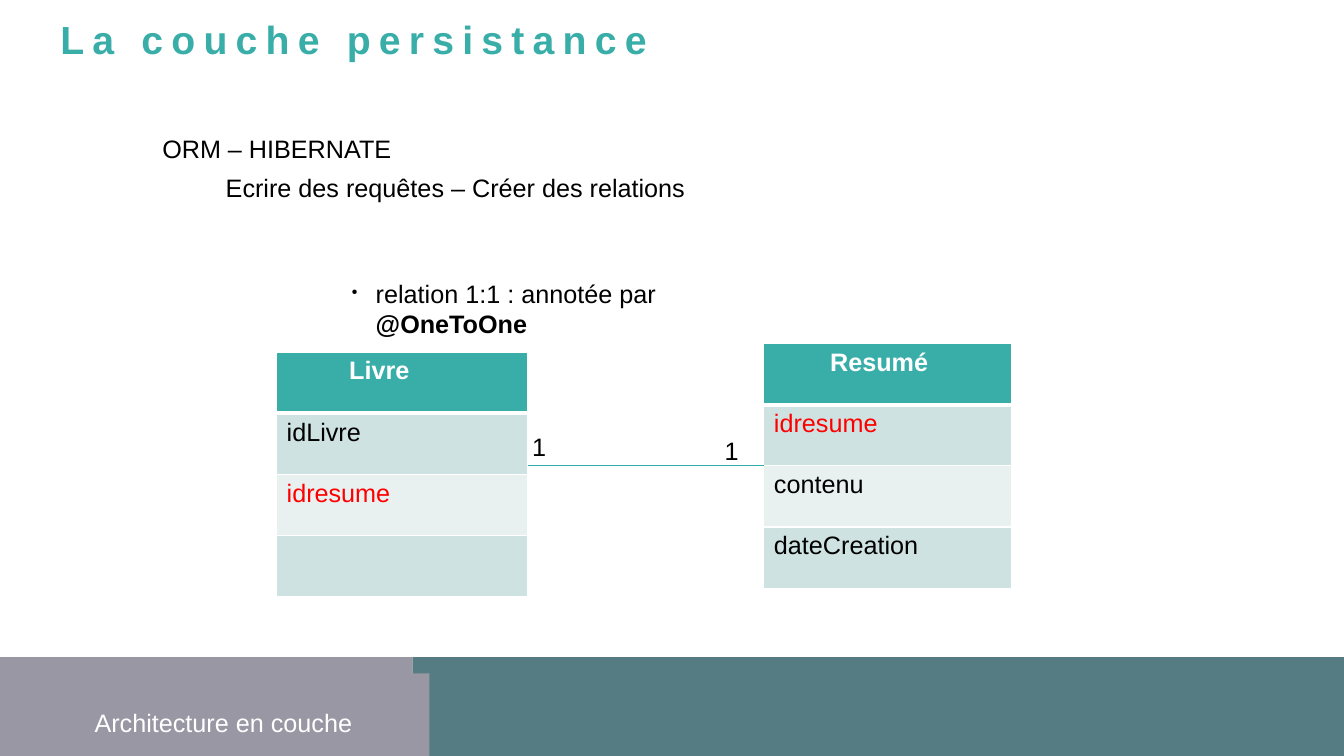
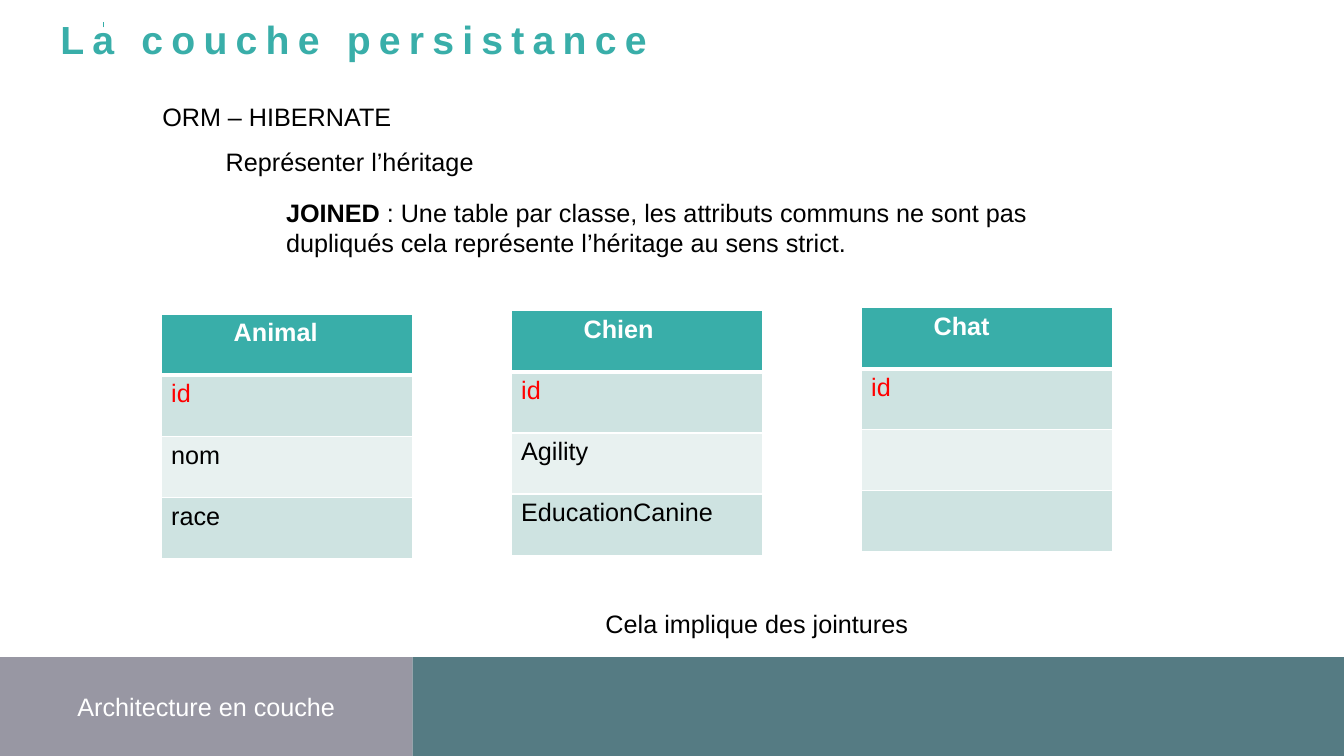
import pptx
import pptx.util
import pptx.dml.color
import pptx.enum.shapes
import pptx.enum.text
import pptx.oxml
import pptx.oxml.ns
from lxml import etree

Cm = pptx.util.Cm
Pt = pptx.util.Pt
WIDE, HIGH = 33.87, 19.05
SPLIT, BAND = 10.4, 2.49
CELL, ROW = 6.33, 1.54
COLORS = {
    "teal": "39AEA9", "line": "34ADA8", "grey": "9897A3", "slate": "557B83",
    "odd": "CEE3E1", "even": "E8F1F0", "red": "FF0000", "black": "000000",
    "white": "FFFFFF",
}


def shade(name):
    return pptx.dml.color.RGBColor.from_string(COLORS[name])


def paint(fill, name):
    fill.solid()
    fill.fore_color.rgb = shade(name)


def style(run, color="black", bold=False, size=18):
    font = run.font
    font.name = "Arial"
    font.size = Pt(size)
    font.bold = bold
    paint(font.fill, color)


def element(parent, tag, **attrs):
    return etree.SubElement(parent, pptx.oxml.ns.qn(tag), attrs)


def label(slide, box, parts, wrap=True, inset=True):
    shape = slide.shapes.add_textbox(*map(Cm, box))
    frame = shape.text_frame
    frame.word_wrap = wrap
    if not inset:
        frame.margin_left = frame.margin_right = 0
        frame.margin_top = frame.margin_bottom = 0
    para = frame.paragraphs[0]
    for text, bold in parts:
        run = para.add_run()
        run.text = text
        style(run, bold=bold)
    return para


def title(slide):
    box = (1.52, 0.69, 16.41, 0.89)
    para = label(slide, box, [("La couche persistance", True)], inset=False)
    para.line_spacing = Pt(25)
    run = para.runs[0]
    style(run, "teal", True, 28)
    run.font._element.set("spc", "590")


def heading(slide, left, top, topic, gap):
    label(slide, (left, top, 8, 1.02), [("ORM – HIBERNATE", False)])
    label(slide, (left + 1.6, top + gap, 19.15, 1.02), [(topic, False)])


def footer(slide, left, top, text=""):
    for start, width, color in ((0, SPLIT, "grey"), (SPLIT, WIDE - SPLIT, "slate")):
        band = slide.shapes.add_shape(
            pptx.enum.shapes.MSO_SHAPE.RECTANGLE,
            Cm(left + start), Cm(top), Cm(width), Cm(BAND))
        band.shadow.inherit = False
        paint(band.fill, color)
        band.line.fill.background()
        if text and start == 0:
            band.text_frame.text = text
            band.text_frame.vertical_anchor = pptx.enum.text.MSO_ANCHOR.MIDDLE
            para = band.text_frame.paragraphs[0]
            para.alignment = pptx.enum.text.PP_ALIGN.CENTER
            style(para.runs[0], "white")


def border(cell, row):
    props = cell._tc.get_or_add_tcPr()
    thick = {("a:lnB", 0), ("a:lnT", 1)}
    for tag in ("a:lnL", "a:lnR", "a:lnT", "a:lnB"):
        width = Pt(3) if (tag, row) in thick else Pt(0.96)
        line = element(props, tag, w=str(width))
        element(element(line, "a:solidFill"), "a:srgbClr", val=COLORS["white"])


def entity(slide, left, top, name, fields, key, indent=1.83, width=CELL):
    rows = [name, *fields]
    frame = slide.shapes.add_table(
        len(rows), 1, Cm(left), Cm(top), Cm(width), Cm(ROW * len(rows)))
    table = frame.table
    for row, text in enumerate(rows):
        table.rows[row].height = Cm(ROW)
        cell = table.cell(row, 0)
        border(cell, row)
        head = row == 0
        paint(cell.fill, "teal" if head else "odd" if row % 2 else "even")
        if head:
            cell.margin_left = Cm(indent)
        if text:
            cell.text_frame.text = text
            color = "white" if head else "red" if text == key else "black"
            style(cell.text_frame.paragraphs[0].runs[0], color, head)


def link(slide, *ends):
    line = slide.shapes.add_connector(
        pptx.enum.shapes.MSO_CONNECTOR.STRAIGHT, *map(Cm, ends))
    line.line.color.rgb = shade("line")
    line.line.width = Pt(0.75)
    element(line._element.spPr, "a:effectLst")


def bullet(para):
    props = para._p.get_or_add_pPr()
    props.set("marL", str(Cm(0.61)))
    props.set("indent", str(-Cm(0.61)))
    element(element(props, "a:buClr"), "a:srgbClr", val=COLORS["black"])
    element(props, "a:buSzPct", val="30000")
    element(props, "a:buChar", char="●")


def relation(slide):
    title(slide)
    heading(slide, 3.84, 3.23, "Ecrire des requêtes – Créer des relations", 0.99)
    bullet(label(slide, (8.61, 6.88, 11.5, 2.54), [
        ("relation 1:1 : annotée par ", False), ("@OneToOne", True)]))
    base = HIGH - BAND
    footer(slide, 0, base)
    footer(slide, 0.43, base + 0.41, "Architecture en couche")
    entity(slide, 6.97, 8.87, "Livre", ["idLivre", "idresume", ""], "idresume")
    entity(slide, 19.25, 8.66, "Resumé", ["idresume", "contenu", "dateCreation"],
           "idresume", 1.67, 6.24)
    link(slide, 13.31, 11.74, 19.25, 11.74)
    for left, top in ((13.41, 10.87), (18.26, 10.97)):
        label(slide, (left, top, 0.4, 0.76), [("1", False)], False, False)


def heritage(slide):
    footer(slide, 0, HIGH - BAND, "Architecture en couche")
    title(slide)
    heading(slide, 3.84, 2.44, "Représenter l’héritage", 1.11)
    link(slide, 2.62, 0.69, 2.62, 0.56)
    label(slide, (6.96, 4.85, 21.06, 2.54), [
        ("JOINED", True),
        (" : Une table par classe, les attributs communs ne sont pas dupliqués "
         "cela représente l’héritage au sens strict.", False)])
    tables = (
        ("Animal", ["id", "nom", "race"]),
        ("Chien", ["id", "Agility", "EducationCanine"]),
        ("Chat", ["id", "", ""]),
    )
    for col, (name, fields) in enumerate(tables):
        entity(slide, 4.06 + 8.82 * col, 7.91 - 0.08 * col, name, fields, "id")
    label(slide, (15.01, 15.21, 10.06, 1.02), [("Cela implique des jointures", False)])


def main():
    deck = pptx.Presentation()
    deck.slide_width, deck.slide_height = Cm(WIDE), Cm(HIGH)
    for build in (relation, heritage):
        build(deck.slides.add_slide(deck.slide_layouts[6]))
    deck.save("out.pptx")


if __name__ == "__main__":
    main()
